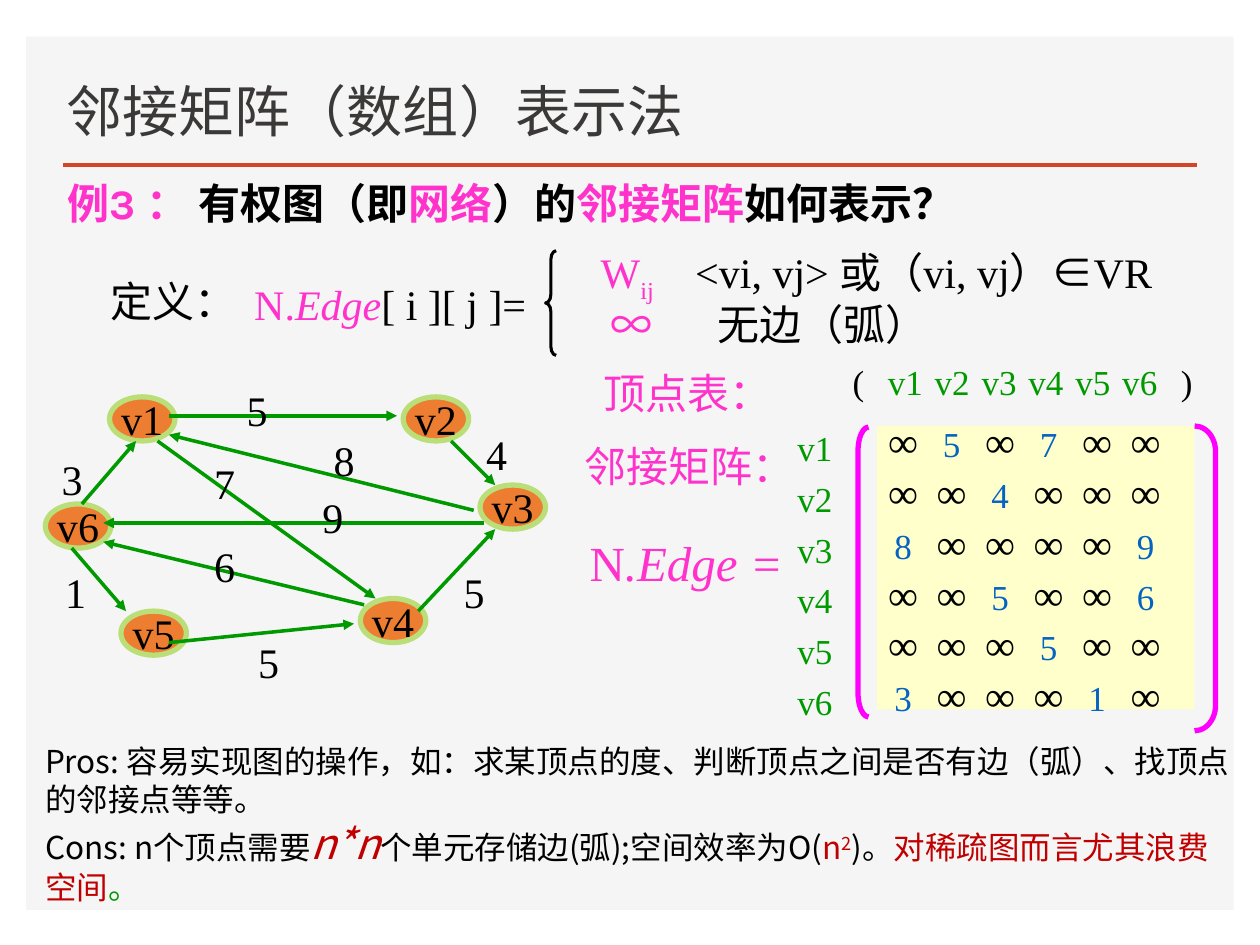
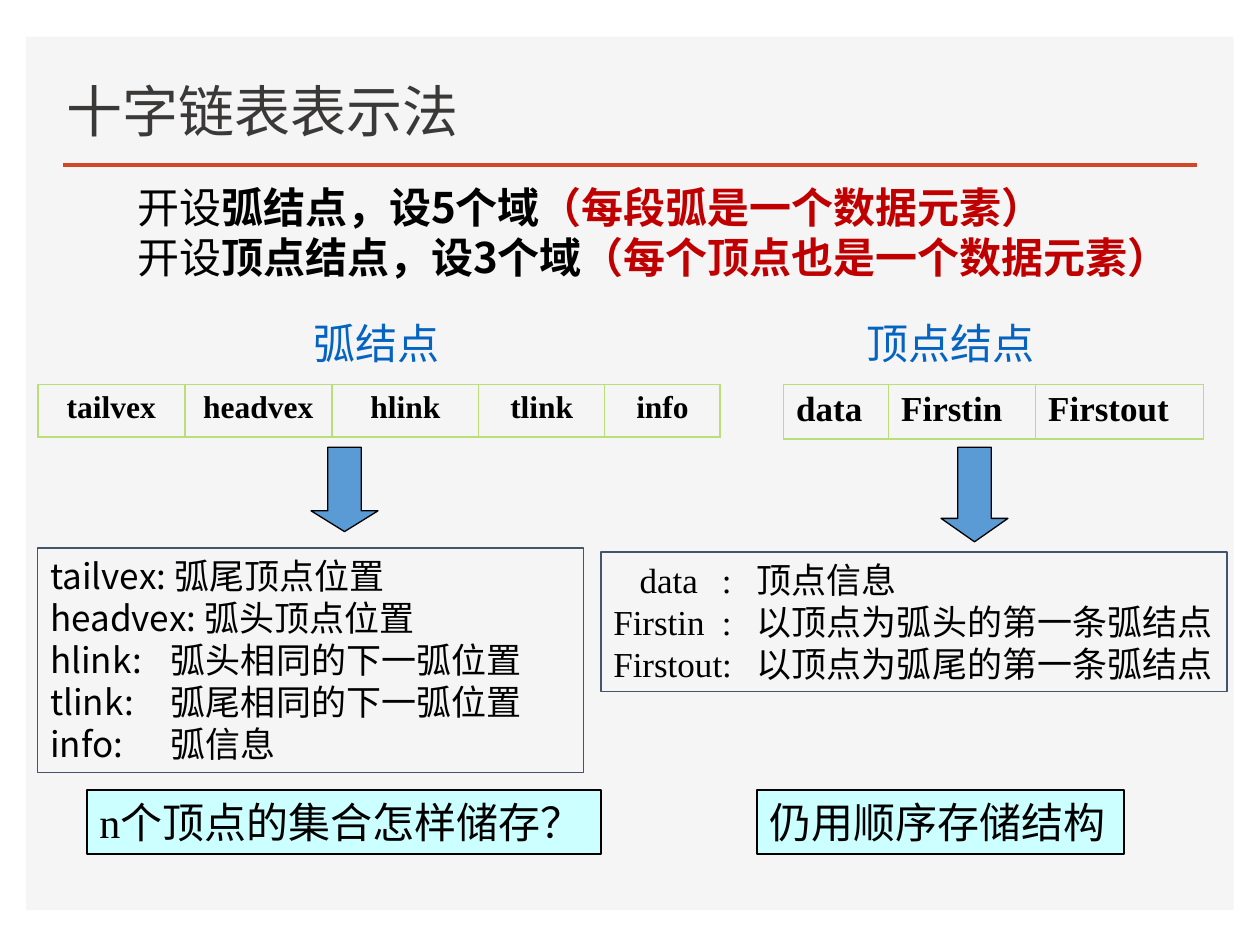
import pptx
import pptx.util
import pptx.dml.color
import pptx.oxml
import pptx.oxml.ns
from pptx.enum.shapes import MSO_CONNECTOR, MSO_SHAPE
from pptx.enum.text import MSO_ANCHOR, PP_ALIGN

Pt = pptx.util.Pt
qn = pptx.oxml.ns.qn

SERIF, SANS, TITLE_FONT = "Times New Roman", "Noto Sans CJK SC", "Karla"
BLACK, PINK, MAGENTA, GREEN = "000000", "FF33CC", "FF00FF", "009900"
RED, BLUE, LIME, ORANGE = "C00000", "0563C1", "BADE78", "ED7D31"
PANEL, RULE, TITLE_COLOR = "F5F5F5", "D24726", "3B3838"
CREAM, CYAN, SLATE, ARROW_BLUE = "FFFFCC", "CCFFFF", "44546A", "5B9BD5"

# Graph: top left corner of each vertex; edges as
# (source, target): (weight, line start, line end, label corner)
VERTEX_SIZE = (37.4, 25.2)
VERTICES = {
    "v1": (62.6, 226.8), "v2": (230.4, 226.8), "v3": (274.3, 277.2),
    "v4": (205.9, 342), "v5": (69.1, 349.2), "v6": (25.9, 288),
}
EDGES = {
    ("v1", "v2"): (5, (96.5, 237.6), (226.8, 237.6), (133.9, 216)),
    ("v6", "v1"): (3, (46.8, 288), (77.8, 252), (28.1, 255.6)),
    ("v5", "v4"): (5, (96.5, 367.2), (202.3, 356.4), (140.4, 360)),
    ("v3", "v1"): (8, (270.7, 291.6), (96.5, 248.4), (183.6, 244.8)),
    ("v4", "v3"): (5, (239, 349.2), (283, 302.4), (257.8, 320.4)),
    ("v3", "v6"): (9, (276.5, 298.8), (59, 298.8), (177.1, 277.2)),
    ("v4", "v6"): (6, (208.1, 345.6), (59, 309.6), (115.2, 305.3)),
    ("v1", "v4"): (7, (90, 252), (214.6, 342), (115.2, 257.8)),
    ("v6", "v5"): (1, (41, 313.2), (72, 349.2), (30.2, 320.4)),
    ("v2", "v3"): (4, (257.8, 252), (283, 277.2), (270.7, 241.2)),
}


def rgb(code):
    return pptx.dml.color.RGBColor.from_string(code)


def add_xml(parent, tag, index=None, **attributes):
    child = parent.makeelement(qn(tag), attributes)
    parent.insert(len(parent) if index is None else index, child)
    return child


# ---- Text ----
def add_span(para, text, size=24, font=SERIF, color=BLACK, bold=False,
             italic=False, baseline=0):
    span = para.add_run()
    span.text = text
    span.font.size, span.font.name = Pt(size), font
    span.font.bold, span.font.italic = bold, italic
    span.font.color.rgb = rgb(color)
    props = span._r.get_or_add_rPr()
    add_xml(props, "a:ea", typeface=SANS)
    if baseline:
        props.set("baseline", str(baseline * 1000))


def write(frame, paras, align=PP_ALIGN.LEFT, anchor=MSO_ANCHOR.TOP, wrap=True,
          before=0, spacing=None, tabs=(), tab_align="l", **style):
    """Fill a frame; a paragraph is a string or a list of (text, overrides)."""
    frame.word_wrap, frame.vertical_anchor = wrap, anchor
    for number, content in enumerate(paras):
        para = frame.add_paragraph() if number else frame.paragraphs[0]
        para.alignment = align
        para.space_before = Pt(before)
        if spacing:
            para.line_spacing = Pt(spacing)
        if tabs:
            stops = add_xml(para._p.get_or_add_pPr(), "a:tabLst")
            for stop in tabs:
                add_xml(stops, "a:tab", pos=str(Pt(stop)), algn=tab_align)
        for text, override in [(content, {})] if isinstance(content, str) else content:
            add_span(para, text, **{**style, **override})


def add_text(page, at, *paras, **style):
    box = page.shapes.add_textbox(*map(Pt, at))
    write(box.text_frame, paras, **style)
    return box


# ---- Shapes, lines, tables ----
def add_shape(page, kind, at, fill=None, line=None, width=0.75, adjust=()):
    shape = page.shapes.add_shape(kind, *map(Pt, at))
    shape.shadow.inherit = False
    if fill:
        shape.fill.solid()
        shape.fill.fore_color.rgb = rgb(fill)
    else:
        shape.fill.background()
    if line:
        shape.line.color.rgb, shape.line.width = rgb(line), Pt(width)
    else:
        shape.line.fill.background()
    for number, value in enumerate(adjust):
        shape.adjustments[number] = value
    return shape


def add_text_shape(page, at, *paras, fill=None, line=None, width=0.75, **style):
    shape = add_shape(page, MSO_SHAPE.RECTANGLE, at, fill, line, width)
    write(shape.text_frame, paras, **style)
    return shape


def add_line(page, start, end, color, arrow=False):
    line = page.shapes.add_connector(MSO_CONNECTOR.STRAIGHT, *map(Pt, start + end))
    line.line.color.rgb, line.line.width = rgb(color), Pt(2)
    if arrow:
        add_xml(line.line._get_or_add_ln(), "a:tailEnd", type="triangle")
    add_xml(line._element.spPr, "a:effectLst")
    return line


def add_field_table(page, left, top, height, fields, **style):
    """One row of node fields, given as {name: column width}."""
    frame = page.shapes.add_table(1, len(fields), Pt(left), Pt(top),
                                  Pt(sum(fields.values())), Pt(height))
    table = frame.table
    table.first_row = table.horz_banding = False
    table.rows[0].height = Pt(height)
    for column, (name, width) in enumerate(fields.items()):
        table.columns[column].width = Pt(width)
        cell = table.cell(0, column)
        cell.fill.background()
        write(cell.text_frame, [name], bold=True, **style)
        props = cell._tc.get_or_add_tcPr()
        for index, side in enumerate(("a:lnL", "a:lnR", "a:lnT", "a:lnB")):
            border = add_xml(props, side, index, w=str(Pt(1)))
            add_xml(add_xml(border, "a:solidFill"), "a:srgbClr", val=LIME)


# ---- Shared frame of a page ----
def add_page(deck, title):
    page = deck.slides.add_slide(deck.slide_layouts[5])
    panel = add_shape(page, MSO_SHAPE.RECTANGLE, (15, 21, 690, 499), PANEL)
    rule = add_line(page, (36, 94.3), (684, 94.3), RULE)
    for index, item in enumerate((panel, rule), 2):
        page.shapes._spTree.insert(index, item._element)
    head = page.shapes.title
    head.left, head.top, head.width, head.height = map(Pt, (31, 35.3, 406, 50.4))
    write(head.text_frame, [title], anchor=MSO_ANCHOR.BOTTOM, size=32,
          font=TITLE_FONT, color=TITLE_COLOR)
    return page


# ---- Adjacency matrix page ----
def add_graph(page):
    for name, corner in VERTICES.items():
        vertex = add_shape(page, MSO_SHAPE.OVAL, corner + VERTEX_SIZE, ORANGE, LIME, 3)
        write(vertex.text_frame, [name], align=PP_ALIGN.CENTER,
              anchor=MSO_ANCHOR.MIDDLE, wrap=False)
    for weight, start, end, corner in EDGES.values():
        add_line(page, start, end, GREEN, arrow=True)
        add_text(page, corner + (37.4, 36), str(weight))


def matrix_row(source):
    row = []
    for target in VERTICES:
        if (source, target) in EDGES:
            row.append((f"\t{EDGES[source, target][0]}", {"size": 20, "color": BLUE}))
        else:
            row.append(("\t∞", {}))
    return row


def add_matrix(page):
    add_shape(page, MSO_SHAPE.LEFT_BRACKET, (490.3, 244.1, 6, 165.6),
              line=MAGENTA, width=3, adjust=[2.3])
    add_shape(page, MSO_SHAPE.RIGHT_BRACKET, (682.6, 243.4, 12, 174.2),
              line=MAGENTA, width=3, adjust=[1.21])
    values = add_text_shape(
        page, (501.1, 243.4, 181.4, 162), *map(matrix_row, VERTICES), fill=CREAM,
        anchor=MSO_ANCHOR.MIDDLE, spacing=29, tab_align="ctr",
        tabs=[15 + 27.7 * column for column in range(6)])
    header = add_text(
        page, (480.2, 203, 215, 30.2),
        [("\t(", {}), ("\t" + "\t".join(VERTICES), {"color": GREEN}), ("\t)", {})],
        anchor=MSO_ANCHOR.MIDDLE, size=20, tab_align="ctr",
        tabs=[10.3 + 26.8 * column for column in range(8)])
    for box in (values, header):
        box.text_frame.margin_left = box.text_frame.margin_right = 0
    add_text(page, (448.6, 238.3, 36, 180), *VERTICES, anchor=MSO_ANCHOR.MIDDLE,
             size=20, color=GREEN, before=5)


def build_matrix_page(deck):
    page = add_page(deck, "邻接矩阵（数组）表示法")
    pink, red = {"color": PINK}, {"color": RED}
    add_text(page, (31.7, 92.2, 539, 41.8),
             [("例3 ： ", pink), ("有权图（即", {}), ("网络", pink), ("）的", {}),
              ("邻接矩阵", pink), ("如何表示？", {})],
             anchor=MSO_ANCHOR.BOTTOM, font=TITLE_FONT, bold=True)

    # Definition by cases
    add_text(page, (56.2, 154.1, 120, 36), "定义：")
    add_text(page, (138.2, 155.5, 180, 36.7),
             [("N.", pink), ("Edge", {"color": PINK, "italic": True}),
              ("[ i ][ j ]=", {})])
    add_shape(page, MSO_SHAPE.LEFT_BRACE, (311.8, 143.3, 6, 59.8), line=BLACK,
              width=1.75, adjust=[0.83, 0.5])
    add_text(page, (336.2, 137.5, 364, 36),
             [("W", pink), ("ij", {"color": PINK, "baseline": -25}),
              ("\t<vi, vj> 或（vi, vj）∈VR", {})], tabs=[54])
    add_text(page, (342, 167, 202, 36), [("∞", pink), ("\t无边（弧）", {})], tabs=[61])

    add_graph(page)

    # Vertex list and matrix
    add_text(page, (337.7, 206.6, 111, 36), "顶点表：", color=PINK)
    add_text(page, (326.9, 248.4, 137.5, 36), "邻接矩阵：", color=PINK)
    add_text(page, (329.8, 301, 126, 41),
             [("N", {}), (".Edge =", {"italic": True})], size=28, color=PINK)
    add_matrix(page)

    # Pros and cons
    add_text(page, (18.7, 463.7, 680.4, 58.3),
             [("Cons: n个顶点需要", {}),
              ("n*n", {"size": 24, "color": RED, "italic": True}),
              ("个单元存储边(弧);空间效率为O(", {}), ("n", red),
              ("2", {"color": RED, "baseline": 30}), (")。", {}),
              ("对稀疏图而言尤其浪费空间", red), ("。", {"color": GREEN})],
             size=18, font=SANS)
    add_text(page, (18.7, 420.5, 695.5, 55.4),
             "Pros: 容易实现图的操作，如：求某顶点的度、判断顶点之间是否有边（弧）、"
             "找顶点的邻接点等等。", size=18, font=SANS)


# ---- Orthogonal list page ----
def build_list_page(deck):
    page = add_page(deck, "十字链表表示法")
    strong = {"font": SANS, "bold": True}
    add_text(page, (71.3, 100, 615, 65.5),
             *[[("开设", {}), (fields, strong), (remark, {**strong, "color": RED})]
               for fields, remark in (
                   ("弧结点，设5个域", "（每段弧是一个数据元素）"),
                   ("顶点结点，设3个域", "（每个顶点也是一个数据元素）"))])

    # Node layouts
    for name, at in (("弧结点", (171.4, 177.8, 87.1, 36)),
                     ("顶点结点", (487.4, 177.8, 111.6, 36))):
        add_text(page, at, name, align=PP_ALIGN.CENTER, color=BLUE)
    add_field_table(page, 21.6, 219.6, 30.2,
                    {"tailvex": 84, "headvex": 84, "hlink": 84, "tlink": 72, "info": 66},
                    size=18, align=PP_ALIGN.CENTER)
    add_field_table(page, 447.8, 219.6, 31,
                    {"data": 60, "Firstin": 84, "Firstout": 96}, size=20)
    for left, height, head in ((177.8, 48.2, 0.31), (537.8, 54, 0.35)):
        add_shape(page, MSO_SHAPE.DOWN_ARROW, (left, 255.6, 38.2, height),
                  ARROW_BLUE, BLACK, adjust=[0.5, head])

    # Meaning of the fields
    add_text_shape(page, (21.6, 313.2, 311.8, 128.2),
                   "tailvex: 弧尾顶点位置", "headvex: 弧头顶点位置",
                   "hlink:\t弧头相同的下一弧位置", "tlink:\t弧尾相同的下一弧位置",
                   "info:\t弧信息", line=SLATE, size=20, font=SANS, tabs=[69])
    add_text_shape(page, (343.4, 315.4, 357.8, 79.9),
                   "\tdata\t:\t顶点信息", "Firstin\t:\t以顶点为弧头的第一条弧结点",
                   "Firstout:\t以顶点为弧尾的第一条弧结点",
                   line=SLATE, size=20, tabs=[15, 62, 82])

    # Question and answer
    add_text_shape(page, (49.7, 451.4, 293.8, 36.7), "n个顶点的集合怎样储存？",
                   fill=CYAN, line=BLACK)
    add_text_shape(page, (432.7, 451.4, 209.5, 36.7), "仍用顺序存储结构",
                   fill=CYAN, line=BLACK, width=1)


def main():
    deck = pptx.Presentation()
    deck.slide_width, deck.slide_height = Pt(720), Pt(540)
    build_matrix_page(deck)
    build_list_page(deck)
    deck.save("out.pptx")


if __name__ == "__main__":
    main()
